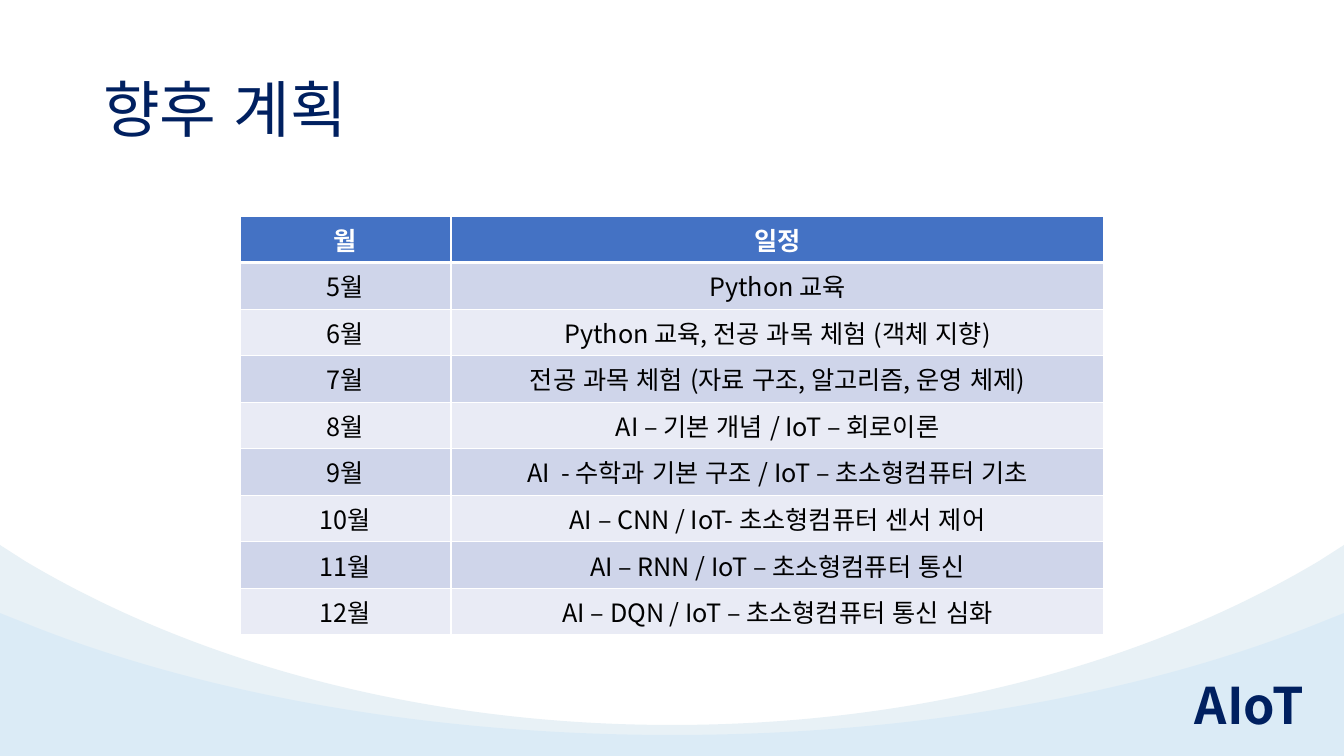
import pptx
import pptx.dml.color
import pptx.enum.lang
import pptx.enum.text
import pptx.oxml.ns
import pptx.util
import lxml.etree

EMU_PER_PX = 914400 / 100.8
FONT = "Noto Sans CJK KR"
NAVY = "002060"
WHITE = "FFFFFF"
HEADER_BLUE = "4472C4"
BANDS = ("CFD5EA", "E9EBF5")
SCHEDULE = [
    ("월", "일정"),
    ("5월", "Python 교육"),
    ("6월", "Python 교육, 전공 과목 체험 (객체 지향)"),
    ("7월", "전공 과목 체험 (자료 구조, 알고리즘, 운영 체제)"),
    ("8월", "AI – 기본 개념 / IoT – 회로이론"),
    ("9월", "AI  - 수학과 기본 구조 / IoT – 초소형컴퓨터 기초"),
    ("10월", "AI – CNN / IoT- 초소형컴퓨터 센서 제어"),
    ("11월", "AI – RNN / IoT – 초소형컴퓨터 통신"),
    ("12월", "AI – DQN / IoT – 초소형컴퓨터 통신 심화"),
]


def px(length):
    return pptx.util.Emu(round(length * EMU_PER_PX))


def color(value):
    return pptx.dml.color.RGBColor.from_string(value)


def add_element(parent, tag, **attributes):
    return lxml.etree.SubElement(parent, pptx.oxml.ns.qn(tag), attributes)


def add_span(para, text, size, fill, bold=False):
    span = para.add_run()
    span.text = text
    span.font.name = FONT
    span.font.size = pptx.util.Pt(size)
    span.font.bold = bold
    span.font.language_id = pptx.enum.lang.MSO_LANGUAGE_ID.KOREAN
    span.font.color.rgb = color(fill)
    add_element(span.font._element, "a:ea", typeface=FONT)


def place(shape, box):
    shape.left, shape.top, shape.width, shape.height = map(px, box)


def bend(wave, first, count):
    lines = list(wave._element.iter(pptx.oxml.ns.qn("a:lnTo")))[first:first + 3 * count]
    for start in range(0, len(lines), 3):
        curve = lxml.etree.Element(pptx.oxml.ns.qn("a:cubicBezTo"))
        lines[start].addprevious(curve)
        for line in lines[start:start + 3]:
            curve.append(line[0])
            line.getparent().remove(line)


def add_wave(page, box, shoulder, control, valley, fill, opacity=100):
    left, top, width, height = box
    half = [(0, 0), (25, shoulder), (196, control), (423, valley)]
    mirrored = [(width - x, y) for x, y in reversed(half)]
    outline = half + [(width / 2, valley)] + mirrored + [(width, height), (0, height)]
    points = [(px(left + x), px(top + y)) for x, y in outline]
    builder = page.shapes.build_freeform(*points[0], scale=1.0)
    builder.add_line_segments(points[1:], close=True)
    wave = builder.convert_to_shape()
    bend(wave, 1, 2)
    wave.shadow.inherit = False
    wave.line.fill.background()
    wave.fill.solid()
    wave.fill.fore_color.rgb = color(fill)
    if opacity < 100:
        solid = wave._element.spPr.find(pptx.oxml.ns.qn("a:solidFill"))
        add_element(solid[0], "a:alpha", val=str(opacity * 1000))


def add_course_name(page, box):
    label = page.shapes.add_textbox(*map(px, box))
    frame = label.text_frame
    frame.word_wrap = False
    frame.auto_size = pptx.enum.text.MSO_AUTO_SIZE.SHAPE_TO_FIT_TEXT
    add_span(frame.paragraphs[0], "AIoT", 36, NAVY, True)


def fill_title(page, box):
    title = page.shapes.title
    place(title, box)
    frame = title.text_frame
    frame.vertical_anchor = pptx.enum.text.MSO_ANCHOR.MIDDLE
    para = frame.paragraphs[0]
    para.alignment = pptx.enum.text.PP_ALIGN.LEFT
    para.line_spacing = 0.9
    add_span(para, "향후 계획", 44, NAVY)


def add_borders(cell, row):
    widths = {"a:lnL": 1, "a:lnR": 1, "a:lnT": 3 if row == 1 else 1, "a:lnB": 3 if row == 0 else 1}
    properties = cell._tc.get_or_add_tcPr()
    for tag, width in widths.items():
        border = add_element(properties, tag, w=str(pptx.util.Pt(width)))
        add_element(add_element(border, "a:solidFill"), "a:srgbClr", val=WHITE)


def add_schedule(page, box, month_width):
    frame = page.shapes.add_table(len(SCHEDULE), 2, *map(px, box))
    table = frame.table
    table.columns[0].width = px(month_width)
    table.columns[1].width = px(box[2] - month_width)
    for row, entries in enumerate(SCHEDULE):
        header = row == 0
        for column, text in enumerate(entries):
            cell = table.cell(row, column)
            cell.margin_left = cell.margin_right = px(12)
            cell.margin_top = cell.margin_bottom = px(5)
            add_borders(cell, row)
            cell.fill.solid()
            cell.fill.fore_color.rgb = color(HEADER_BLUE if header else BANDS[(row - 1) % 2])
            para = cell.text_frame.paragraphs[0]
            para.alignment = pptx.enum.text.PP_ALIGN.CENTER
            add_span(para, text, 18, WHITE if header else "000000", header)


def main():
    deck = pptx.Presentation()
    deck.slide_width, deck.slide_height = px(1344), px(756)
    page = deck.slides.add_slide(deck.slide_layouts[5])
    page.background.fill.solid()
    page.background.fill.fore_color.rgb = color(WHITE)
    add_wave(page, (0, 545, 1344, 211), 16, 118, 180, "E8F1F6")
    add_wave(page, (0, 613, 1344, 143), 10, 79, 122, "7AC2F9", 11)
    add_course_name(page, (1185, 669, 133, 72))
    fill_title(page, (93, 40, 1159, 146))
    add_schedule(page, (240, 216, 864, 419), 211)
    deck.save("out.pptx")


if __name__ == "__main__":
    main()
